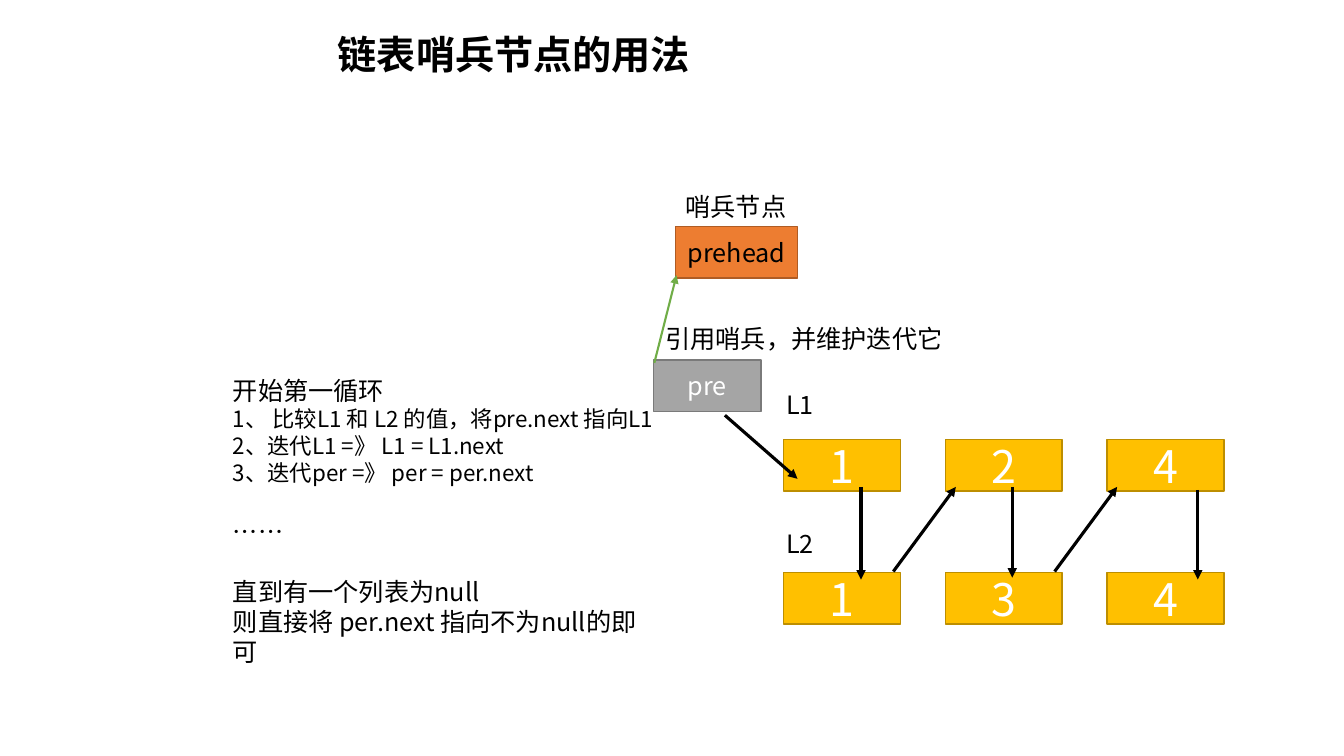
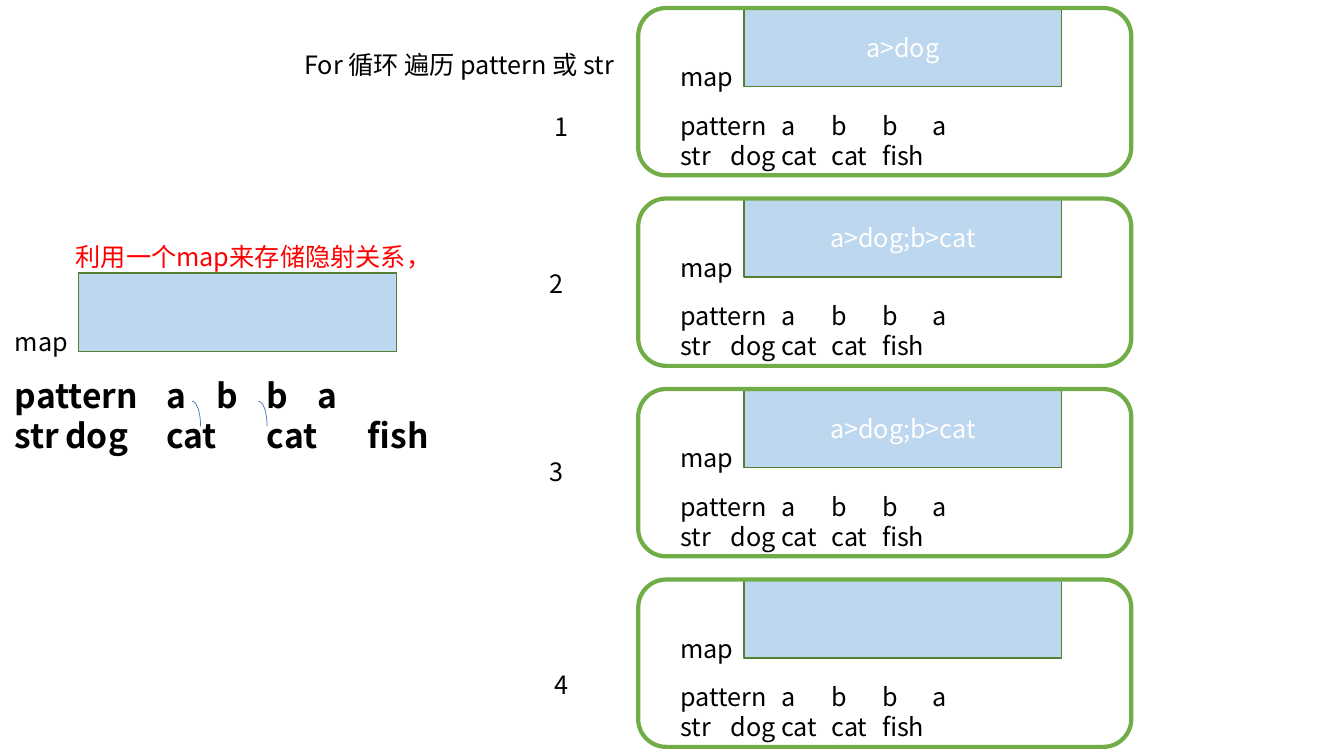
from lxml import etree
from pptx import Presentation
from pptx.dml.color import RGBColor
from pptx.enum import shapes, text
from pptx.oxml import ns
from pptx.util import Inches, Pt

FONT = "Noto Sans CJK SC"
BLACK = RGBColor(0x00, 0x00, 0x00)
WHITE = RGBColor(0xFF, 0xFF, 0xFF)
RED = RGBColor(0xFF, 0x00, 0x00)
GOLD, GOLD_EDGE = RGBColor(0xFF, 0xC0, 0x00), RGBColor(0xBD, 0x8E, 0x00)
ORANGE, ORANGE_EDGE = RGBColor(0xED, 0x7D, 0x31), RGBColor(0xAF, 0x5C, 0x24)
GREY, GREY_EDGE = RGBColor(0xA5, 0xA5, 0xA5), RGBColor(0x7A, 0x7A, 0x7A)
SKY, SKY_EDGE = RGBColor(0xBD, 0xD7, 0xEE), RGBColor(0x53, 0x80, 0x35)
GREEN = RGBColor(0x70, 0xAD, 0x47)
BLUE = RGBColor(0x44, 0x72, 0xC4)

# Slide 1: linked lists
LIST_TITLE = "链表哨兵节点的用法"
LOOP_STEPS = [  # text, size, space before
    ("开始第一循环", 18, 0),
    ("1、 比较L1 和 L2 的值，将pre.next 指向L1", 16, 0),
    ("2、迭代L1 =》 L1 = L1.next", 16, 0),
    ("3、迭代per =》 per = per.next", 16, 0),
    ("……", 18, 21.5),
    ("直到有一个列表为null", 18, 21.5),
    ("则直接将 per.next 指向不为null的即可", 18, 0),
]
LISTS = [("L1", "124"), ("L2", "134")]
POINTERS = [
    ("prehead", (6.7, 2.25, 1.21, 0.51), ORANGE, ORANGE_EDGE, BLACK),
    ("pre", (6.48, 3.57, 1.07, 0.51), GREY, GREY_EDGE, WHITE),
]
NOTES = [("哨兵节点", (6.7, 1.85, 2.01, 0.4)),
         ("引用哨兵，并维护迭代它", (6.5, 3.16, 3.21, 0.4))]
MERGE_ARROWS = [
    (7.19, 4.12, 7.91, 4.75),
    (8.54, 4.83, 8.54, 5.75),
    (8.86, 5.67, 9.48, 4.83),
    (10.04, 4.83, 10.04, 5.73),
    (10.46, 5.67, 11.08, 4.83),
    (11.88, 4.86, 11.88, 5.75),
]

# Slide 2: word pattern
MAP_TITLE = "利用一个map来存储隐射关系，"
LOOP_NOTE = "For 循环 遍历 pattern 或 str"
ROWS = ["pattern\ta\tb\tb\ta", "str\tdog\tcat\tcat\tfish"]
SMALL_STOPS = [(1.07, 1.51, 1.99, 2.37), (0.81, 1.36, 1.82, 2.29)]
LARGE_STOPS = [(1.53, 2.1, 2.77, 3.28), (1.13, 1.9, 2.56, 3.2)]
ROUNDS = [  # map content, place of the round number
    ("a>dog", 5.4, 1.06),
    ("a>dog;b>cat", 5.35, 2.61),
    ("a>dog;b>cat", 5.35, 4.48),
    ("", 5.4, 6.59),
]


def add_xml(parent, tag, **attrs):
    """Append a DrawingML element."""
    return etree.SubElement(parent, ns.qn(tag), attrs)


def write(p, words, size=18, color=BLACK, bold=False, align=text.PP_ALIGN.LEFT,
          before=0, stops=()):
    """Fill a paragraph with one formatted run."""
    p.alignment, p.space_before = align, Pt(before)
    pPr = p._p.get_or_add_pPr()
    pPr.set("marL", "0")
    pPr.set("indent", "0")
    add_xml(pPr, "a:buNone")
    if stops:
        tabs = add_xml(pPr, "a:tabLst")
        for stop in stops:
            add_xml(tabs, "a:tab", pos=str(Inches(stop)), algn="l")
    r = p.add_run()
    r.text = words
    r.font.name, r.font.size, r.font.bold = FONT, Pt(size), bold
    r.font.color.rgb = color
    add_xml(r.font._element, "a:ea", typeface=FONT)


def next_paragraph(tf, i):
    """Return the first paragraph, or a new one after it."""
    return tf.add_paragraph() if i else tf.paragraphs[0]


def label(s, words, box, **fmt):
    """Add a one-paragraph text box."""
    tf = s.shapes.add_textbox(*map(Inches, box)).text_frame
    tf.word_wrap = True
    write(tf.paragraphs[0], words, **fmt)


def place(sp, box):
    """Move a placeholder and make its text start at the top left."""
    sp.left, sp.top, sp.width, sp.height = map(Inches, box)
    tf = sp.text_frame
    tf.word_wrap, tf.auto_size = True, text.MSO_AUTO_SIZE.NONE
    tf.vertical_anchor = text.MSO_ANCHOR.TOP
    return tf


def set_title(s, words, box, **fmt):
    """Fill the title placeholder."""
    write(place(s.shapes.title, box).paragraphs[0], words, **fmt)


def shape(s, kind, box, edge, fill=None, width=1, words="", **fmt):
    """Add an outlined shape, filled and captioned on request."""
    sp = s.shapes.add_shape(kind, *map(Inches, box))
    sp.shadow.inherit = False
    sp.line.color.rgb, sp.line.width = edge, Pt(width)
    if fill is None:
        sp.fill.background()
    else:
        sp.fill.solid()
        sp.fill.fore_color.rgb = fill
    if words:
        tf = sp.text_frame
        tf.vertical_anchor = text.MSO_ANCHOR.MIDDLE
        write(tf.paragraphs[0], words, align=text.PP_ALIGN.CENTER, **fmt)


def arrow(s, ends, color=BLACK, width=2.25):
    """Add a straight arrow."""
    c = s.shapes.add_connector(shapes.MSO_CONNECTOR.STRAIGHT, *map(Inches, ends))
    c.line.color.rgb, c.line.width = color, Pt(width)
    spPr = c._element.spPr
    add_xml(spPr.find(ns.qn("a:ln")), "a:tailEnd", type="triangle")
    add_xml(spPr, "a:effectLst")


def map_diagram(s, x, y, entry="", height=0.71, stops=SMALL_STOPS, **fmt):
    """Draw a map box with the pattern and str rows below it."""
    shape(s, RECT, (x + 0.73, y, 3.15, 0.78), SKY_EDGE, SKY, words=entry, color=WHITE)
    label(s, "map", (x, y + 0.48, 0.92, 0.41))
    tf = s.shapes.add_textbox(*map(Inches, (x, y + 0.96, 4.33, height))).text_frame
    tf.word_wrap = True
    for i, row in enumerate(ROWS):
        write(next_paragraph(tf, i), row, stops=stops[i], **fmt)


def linked_list_slide(prs):
    """Build the sentinel node slide."""
    s = prs.slides.add_slide(prs.slide_layouts[1])
    set_title(s, LIST_TITLE, (3.25, 0.25, 5.46, 0.57), size=28, bold=True)
    tf = place(s.placeholders[1], (2.21, 3.67, 4.42, 2.73))
    for i, (words, size, before) in enumerate(LOOP_STEPS):
        write(next_paragraph(tf, i), words, size=size, before=before)
    for row, (name, values) in enumerate(LISTS):
        y = 4.36 + 1.32 * row
        for col, value in enumerate(values):
            shape(s, RECT, (7.77 + 1.605 * col, y, 1.16, 0.51), GOLD_EDGE, GOLD,
                  words=value, size=32, color=WHITE)
        label(s, name, (7.7, 3.81 + 1.38 * row, 2.01, 0.4))
    for name, box, fill, edge, color in POINTERS:
        shape(s, RECT, box, edge, fill, words=name, color=color)
    for words, box in NOTES:
        label(s, words, box)
    arrow(s, (6.49, 3.6, 6.71, 2.73), GREEN, 1.5)
    for ends in MERGE_ARROWS:
        arrow(s, ends)


def pattern_slide(prs):
    """Build the word pattern slide."""
    s = prs.slides.add_slide(prs.slide_layouts[5])
    set_title(s, MAP_TITLE, (0.65, 2.34, 3.73, 0.4), color=RED)
    map_diagram(s, 0.05, 2.71, height=0.91, stops=LARGE_STOPS, size=24, bold=True)
    label(s, LOOP_NOTE, (2.92, 0.44, 3.49, 0.4))
    for i, (entry, x, y) in enumerate(ROUNDS):
        top = 0.08 + 1.89 * i
        map_diagram(s, 6.65, top, entry)
        shape(s, shapes.MSO_SHAPE.ROUNDED_RECTANGLE, (6.33, top, 4.89, 1.66),
              GREEN, width=3)
        label(s, str(i + 1), (x, y, 0.51, 0.4))
    for x in (1.82, 2.48):
        shape(s, shapes.MSO_SHAPE.ARC, (x, 3.98, 0.17, 0.5), BLUE, width=0.5)


RECT = shapes.MSO_SHAPE.RECTANGLE
prs = Presentation()
prs.slide_width, prs.slide_height = Inches(13.33), Inches(7.5)
linked_list_slide(prs)
pattern_slide(prs)
prs.save("out.pptx")
